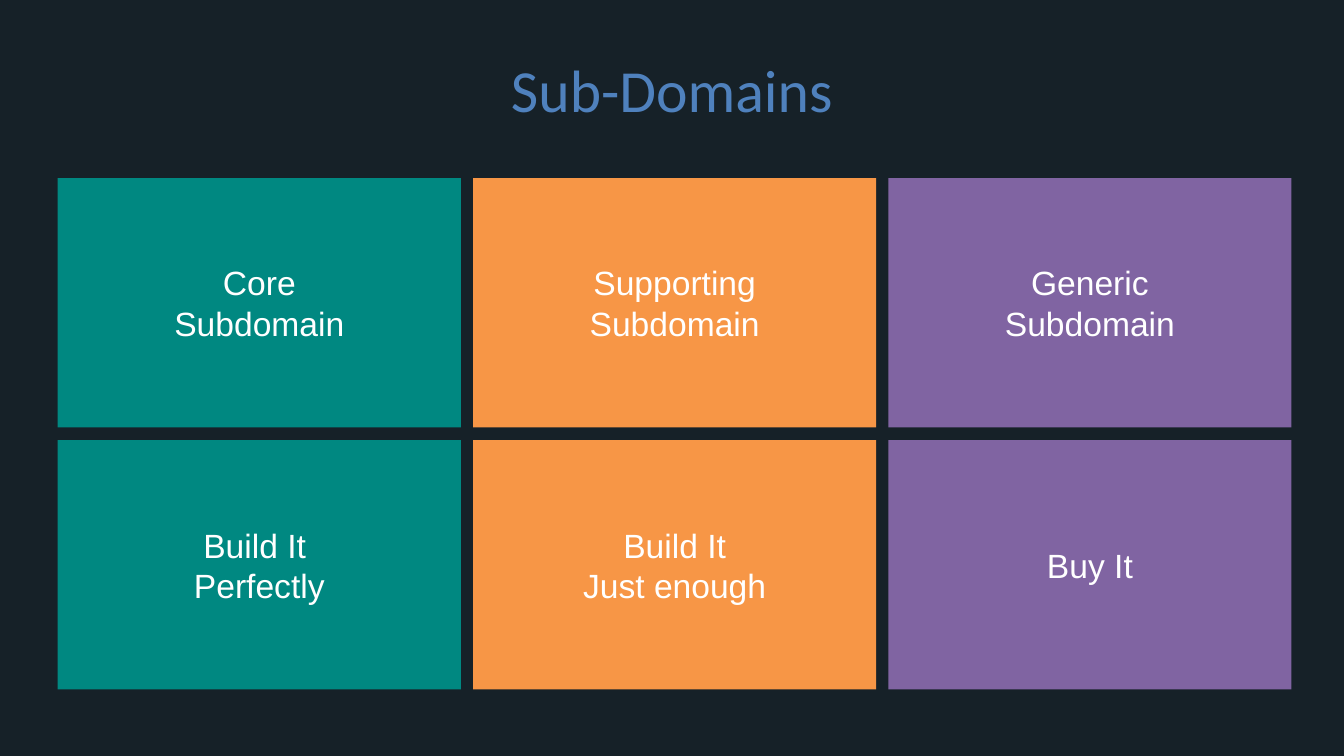
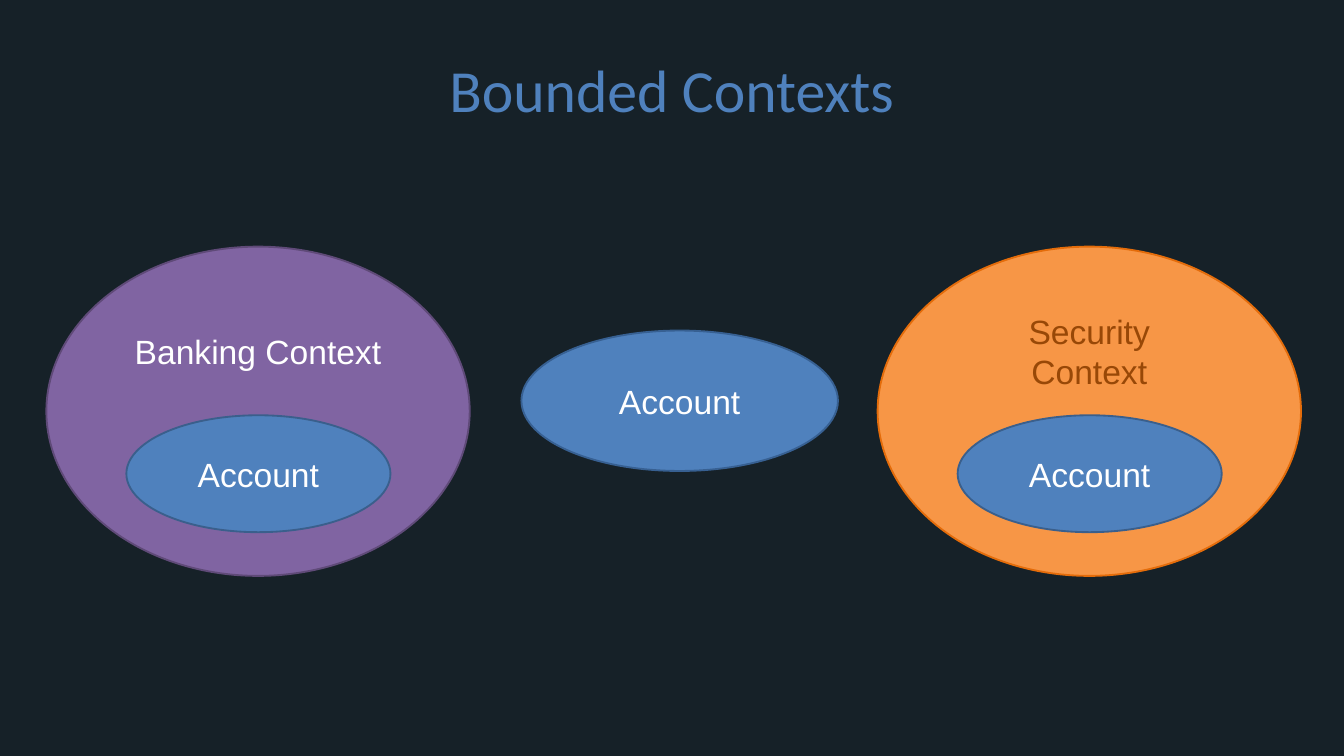
"""Build two slides on sub-domains and bounded contexts."""
from dataclasses import dataclass
from typing import Any

from pptx import Presentation
from pptx.dml.color import RGBColor
from pptx.enum.shapes import MSO_SHAPE
from pptx.enum.text import MSO_ANCHOR, PP_ALIGN
from pptx.util import Emu, Pt

RECT, OVAL = MSO_SHAPE.RECTANGLE, MSO_SHAPE.OVAL
MIDDLE, TOP = MSO_ANCHOR.MIDDLE, MSO_ANCHOR.TOP
CENTER = PP_ALIGN.CENTER
SCALE = 4572
WIDE, HIGH = 2000, 1125
DARK, BLUE, WHITE = "162128", "4F81BD", "FFFFFF"
TEAL, ORANGE, PURPLE = "008881", "F79646", "8064A2"
NAVY, STEEL, PLUM, AMBER, BROWN = "376092", "3A5F8C", "5F4A78", "E46C0A", "984807"
BREAK = "\n"


@dataclass(frozen=True)
class Box:
    """Place and size in px."""
    left: int
    top: int
    width: int
    height: int


@dataclass(frozen=True)
class Node:
    """A filled shape with centred text."""
    box: Box
    lines: tuple[str, ...]
    fill: str
    edge: str = ""
    ink: str = WHITE
    kind: Any = RECT
    foot: int = 10


@dataclass(frozen=True)
class Column:
    """One kind of sub-domain and the advice for it."""
    fill: str
    name: tuple[str, ...]
    advice: tuple[str, ...]


@dataclass(frozen=True)
class Context:
    """A bounded context that holds an account."""
    left: int
    lines: tuple[str, ...]
    fill: str
    edge: str
    ink: str


COLUMNS = (
    Column(TEAL, ("Core", "Subdomain"), ("Build It \nPerfectly",)),
    Column(ORANGE, ("Supporting", "Subdomain"), ("Build It", "Just enough")),
    Column(PURPLE, ("Generic", "Subdomain"), ("Buy It",)),
)
CONTEXTS = (
    Context(69, ("Banking Context",), PURPLE, PLUM, WHITE),
    Context(1306, ("Security", "Context"), ORANGE, AMBER, BROWN),
)


def px(count: int) -> Emu:
    """Turn px into EMU."""
    return Emu(count * SCALE)


def paint(code: str) -> RGBColor:
    """Turn a hex string into a colour."""
    return RGBColor.from_string(code)


def frame(box: Box) -> tuple[Emu, Emu, Emu, Emu]:
    """Give a box in EMU."""
    return px(box.left), px(box.top), px(box.width), px(box.height)


def write(text: Any, lines: tuple[str, ...], font: str, size: int, ink: str) -> None:
    """Write centred lines, one paragraph each."""
    text.word_wrap = True
    for row, line in enumerate(lines):
        para = text.add_paragraph() if row else text.paragraphs[0]
        para.alignment = CENTER
        for part, words in enumerate(line.split(BREAK)):
            if part:
                para.add_line_break()
            run = para.add_run()
            run.text = words
            run.font.name = font
            run.font.size = Pt(size)
            run.font.color.rgb = paint(ink)


def draw(shapes: Any, node: Node) -> None:
    """Draw a node on a slide or in a group."""
    shape = shapes.add_shape(node.kind, *frame(node.box))
    shape.shadow.inherit = False
    shape.fill.solid()
    shape.fill.fore_color.rgb = paint(node.fill)
    if node.edge:
        shape.line.color.rgb = paint(node.edge)
        shape.line.width = Pt(1)
    else:
        shape.line.fill.background()
    text = shape.text_frame
    text.vertical_anchor = MIDDLE
    text.margin_bottom = px(node.foot)
    write(text, node.lines, "Arial", 18, node.ink)


def start(deck: Any, title: str) -> Any:
    """Add a dark slide with its title."""
    slide = deck.slides.add_slide(deck.slide_layouts[6])
    slide.background.fill.solid()
    slide.background.fill.fore_color.rgb = paint(DARK)
    text = slide.shapes.add_textbox(*frame(Box(80, 71, 1840, 100))).text_frame
    text.vertical_anchor = TOP
    text.margin_left = text.margin_right = px(20)
    text.margin_top = text.margin_bottom = px(20)
    write(text, (title,), "Calibri", 32, BLUE)
    text.paragraphs[0].line_spacing = 0.9
    return slide


def domains(deck: Any) -> None:
    """Build the grid of sub-domains."""
    slide = start(deck, "Sub-Domains")
    for col, column in enumerate(COLUMNS):
        for row, lines in enumerate((column.name, column.advice)):
            box = Box(86 + col * 618, 265 + row * 390, 600, 371)
            draw(slide.shapes, Node(box, lines, column.fill))


def account(box: Box, edge: str) -> Node:
    """Describe an account oval."""
    return Node(box, ("Account",), BLUE, edge, kind=OVAL)


def contexts(deck: Any) -> None:
    """Build the contexts around a shared account."""
    slide = start(deck, "Bounded Contexts")
    draw(slide.shapes, account(Box(776, 492, 471, 209), NAVY))
    for item in CONTEXTS:
        group = slide.shapes.add_group_shape()
        box = Box(item.left, 367, 630, 490)
        draw(group.shapes, Node(box, item.lines, item.fill, item.edge, item.ink, OVAL, 189))
        draw(group.shapes, account(Box(item.left + 119, 618, 393, 174), STEEL))


def main() -> None:
    """Build and save the deck."""
    deck = Presentation()
    deck.slide_width, deck.slide_height = px(WIDE), px(HIGH)
    domains(deck)
    contexts(deck)
    deck.save("out.pptx")


if __name__ == "__main__":
    main()
